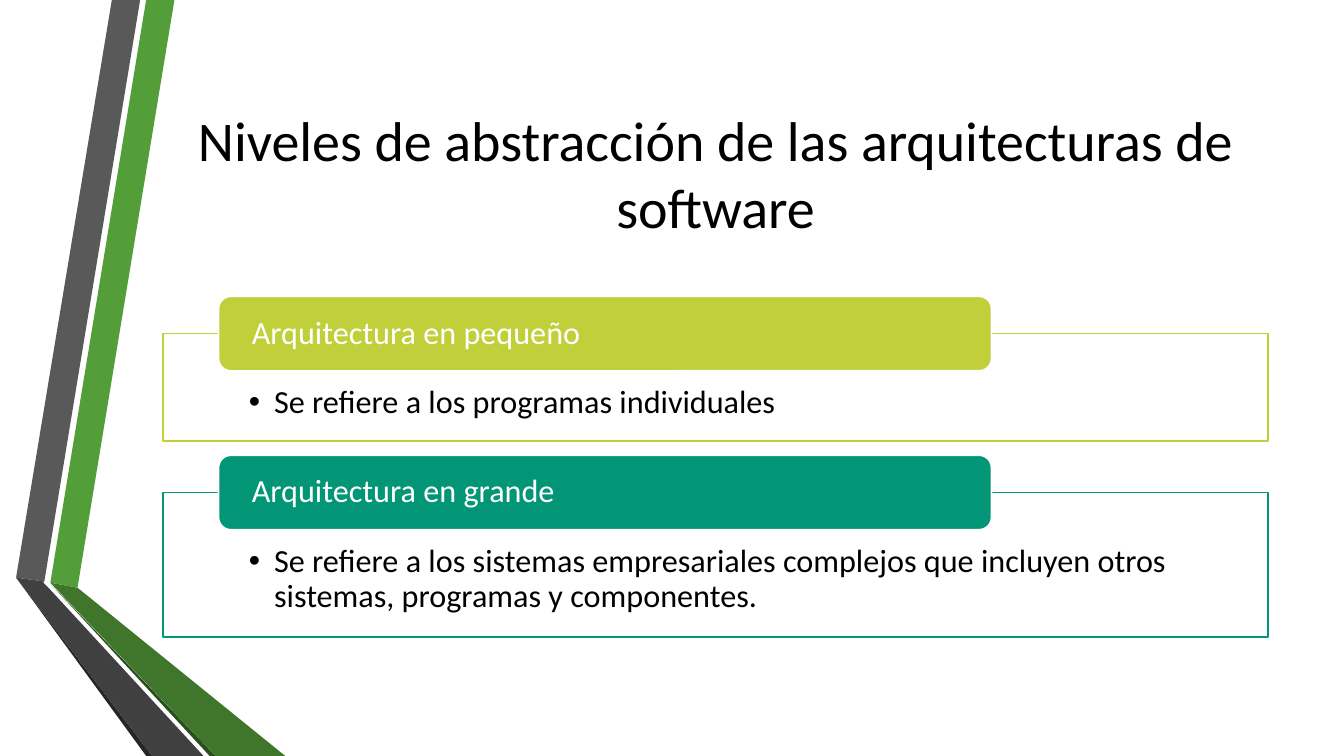
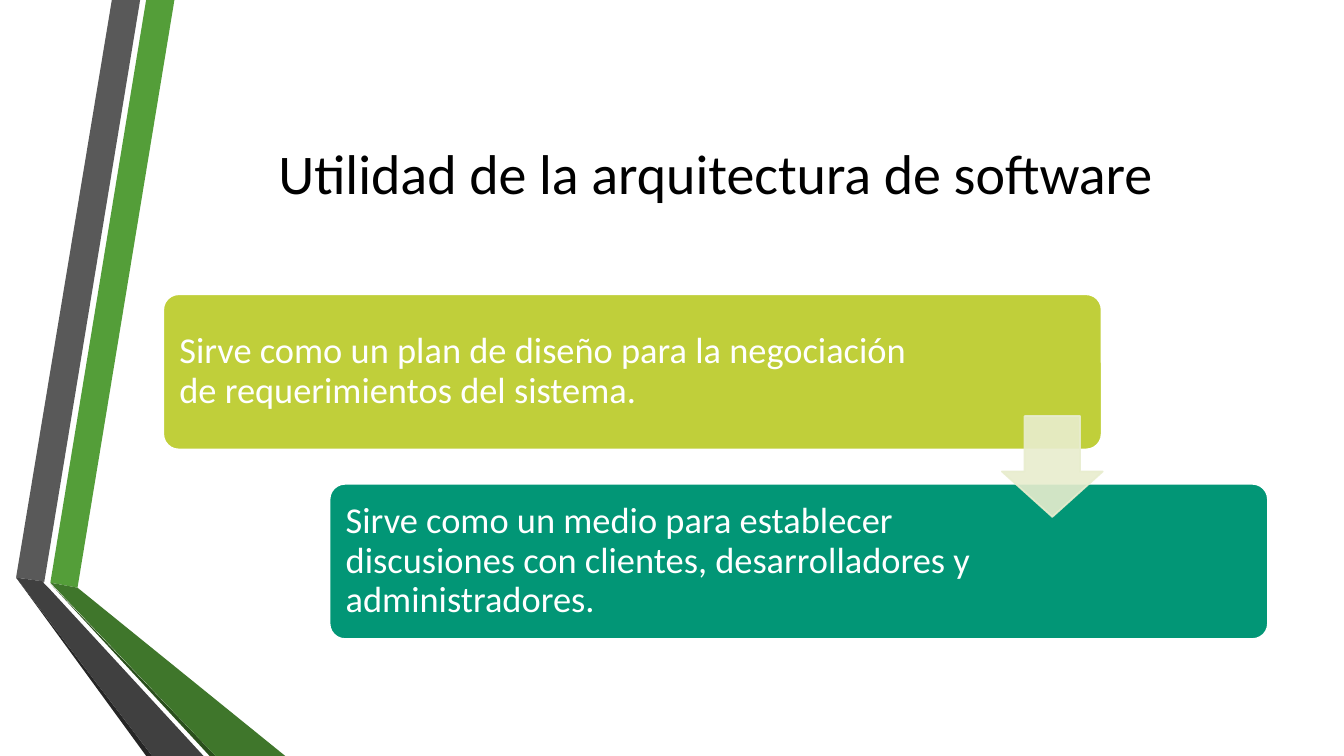
"""Build two slides on the abstraction levels and the uses of software architecture."""
from lxml.etree import SubElement
from pptx import Presentation
from pptx.dml.color import RGBColor
from pptx.enum.shapes import MSO_SHAPE as Preset
from pptx.enum.text import MSO_ANCHOR as Anchor, MSO_AUTO_SIZE as AutoSize, PP_ALIGN as Align
from pptx.oxml.ns import qn
from pptx.util import Pt

COLORS = {
    "black": "000000", "white": "FFFFFF", "lime": "C0CF3A", "teal": "029676", "pale": "E8EDCE",
    "green": "549E39", "leaf": "3F762B", "forest": "2A4F1C",
    "gray": "595959", "charcoal": "404040", "ink": "262626",
}
RIBBONS = [
    ("green", [(36, 416.2), (55.4, 419.8), (124.6, 0), (104.4, 0)]),
    ("gray", [(100.1, 0), (79.9, 0), (11.5, 412.6), (31.7, 415.4)]),
    ("ink", [(11.5, 412.6), (104.4, 540), (108.7, 540)]),
    ("forest", [(36, 416.9), (149.8, 540), (154.1, 540)]),
    ("leaf", [(36, 416.2), (154.1, 540), (203.8, 540), (55.4, 419.8)]),
    ("charcoal", [(145.4, 540), (34.6, 419.8), (31, 416.2), (31.7, 415.4), (11.5, 412.6), (108.7, 540)]),
]
LEFT, WIDTH = 116.6, 789.1
TAB_HEIGHT = 53.3
STEP_WIDTH, STEP_HEIGHT = 670.3, 110.9


class Deck:
    """Hold the shared style and the current slide."""

    def __init__(self):
        self.deck = Presentation()
        self.deck.slide_width, self.deck.slide_height = Pt(960), Pt(540)
        self.font = "Calibri"
        self.slide = None

    def fade(self, parent, opacity):
        color = parent.find(qn("a:solidFill"))[0]
        SubElement(color, qn("a:alpha"), val=str(opacity * 1000))

    def paint(self, shape, fill, line=None, opacity=100):
        shape.shadow.inherit = False
        shape.fill.solid()
        shape.fill.fore_color.rgb = RGBColor.from_string(COLORS[fill])
        if line:
            shape.line.color.rgb = RGBColor.from_string(COLORS[line])
            shape.line.width = Pt(1.25)
        else:
            shape.line.fill.background()
        if opacity < 100:
            self.fade(shape.element.spPr, opacity)

    def put_text(self, shape, text, size, color, align=Align.LEFT, anchor=Anchor.MIDDLE,
                 insets=(7.2, 3.6, 7.2, 3.6), spacing=0.9):
        frame = shape.text_frame
        frame.text = text
        frame.word_wrap = True
        frame.auto_size = AutoSize.NONE
        frame.vertical_anchor = anchor
        frame.margin_left, frame.margin_top, frame.margin_right, frame.margin_bottom = map(Pt, insets)
        para = frame.paragraphs[0]
        para.alignment = align
        para.line_spacing = spacing
        span = para.runs[0]
        span.font.name = self.font
        span.font.size = Pt(size)
        span.font.color.rgb = RGBColor.from_string(COLORS[color])
        return para

    def shape(self, preset, box, fill, line, opacity=100, adjustments=()):
        shape = self.slide.shapes.add_shape(preset, *map(Pt, box))
        for index, value in enumerate(adjustments):
            shape.adjustments[index] = value
        self.paint(shape, fill, line, opacity)
        return shape

    def ribbon(self, color, points):
        start, *rest = [(Pt(x), Pt(y)) for x, y in points]
        builder = self.slide.shapes.build_freeform(*start)
        builder.add_line_segments(rest, close=True)
        self.paint(builder.convert_to_shape(), color)

    def new_slide(self, heading):
        self.slide = self.deck.slides.add_slide(self.deck.slide_layouts[5])
        for color, points in RIBBONS:
            self.ribbon(color, points)
        title = self.slide.shapes.title
        title.left, title.top, title.width, title.height = map(Pt, (LEFT, 54, WIDTH, 138.2))
        self.put_text(title, heading, 40, "black", Align.CENTER, spacing=1.0)

    def level(self, top, height, color, name, detail):
        body = self.shape(Preset.RECTANGLE, (LEFT, top, WIDTH, height), "white", color, 90)
        para = self.put_text(body, detail, 23, "black", anchor=Anchor.TOP, insets=(61.2, 37.4, 61.2, 13))
        properties = para._p.get_or_add_pPr()
        properties.set("marL", str(Pt(18)))
        properties.set("indent", str(-Pt(18)))
        SubElement(properties, qn("a:buFont"), typeface="Arial")
        SubElement(properties, qn("a:buChar"), char="•")
        tab_box = (LEFT + 39.5, top - TAB_HEIGHT / 2, 552.2, TAB_HEIGHT)
        tab = self.shape(Preset.ROUNDED_RECTANGLE, tab_box, color, "white")
        self.put_text(tab, name, 23, "white", insets=(21.2, 0, 21.2, 0))

    def step(self, left, top, color, text, right_inset):
        box = (left, top, STEP_WIDTH, STEP_HEIGHT)
        step = self.shape(Preset.ROUNDED_RECTANGLE, box, color, "white", adjustments=[0.1])
        self.put_text(step, text, 26, "white", insets=(8.3, 8, right_inset, 8))

    def arrow(self, left, top, size):
        arrow = self.shape(Preset.DOWN_ARROW, (left, top, size, size), "pale", "pale", 90, (0.55, 0.45))
        self.fade(arrow.element.spPr.find(qn("a:ln")), 90)

    def save(self):
        self.deck.save("out.pptx")


def main():
    deck = Deck()
    deck.new_slide("Niveles de abstracción de las arquitecturas de software")
    deck.level(238.3, 77, "lime", "Arquitectura en pequeño", "Se refiere a los programas individuales")
    deck.level(351.8, 103, "teal", "Arquitectura en grande",
               "Se refiere a los sistemas empresariales complejos que incluyen otros "
               "sistemas, programas y componentes.")

    deck.new_slide("Utilidad de la arquitectura de software")
    deck.step(LEFT, 210.2, "lime",
              "Sirve como un plan de diseño para la negociación de requerimientos del sistema.", 115.6)
    deck.step(LEFT + WIDTH - STEP_WIDTH, 345.6, "teal",
              "Sirve como un medio para establecer discusiones con clientes, "
              "desarrolladores y administradores.", 198.4)
    deck.arrow(715.7, 297.2, 72)
    deck.save()


if __name__ == "__main__":
    main()
